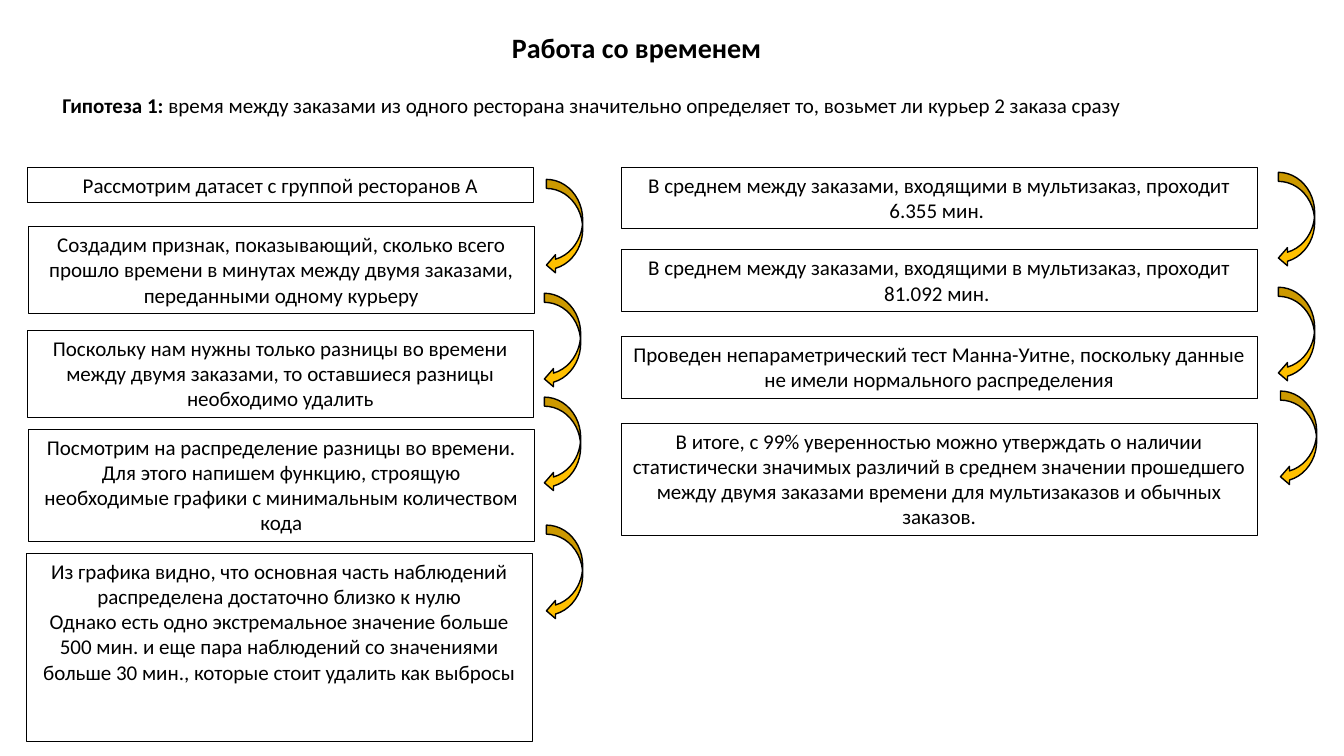
from pptx import Presentation
from pptx import util as u
from pptx.dml.color import RGBColor
from pptx.enum import shapes, text

COLOURS = {"ink": "000000", "arrow": "FFC000"}
INK = RGBColor.from_string(COLOURS["ink"])

deck = Presentation()
deck.slide_width, deck.slide_height = u.Inches(13.33), u.Inches(7.5)
page = deck.slides.add_slide(deck.slide_layouts[6])


def add_text(left, top, width, height, paragraphs, size=15, align=text.PP_ALIGN.LEFT):
    box = page.shapes.add_textbox(*map(u.Inches, (left, top, width, height)))
    frame = box.text_frame
    frame.word_wrap = True
    frame.auto_size = text.MSO_AUTO_SIZE.NONE
    for index, words in enumerate(paragraphs):
        para = frame.paragraphs[0] if index == 0 else frame.add_paragraph()
        para.text = words
        para.alignment = align
        para.font.name = "Calibri"
        para.font.size = u.Pt(size)
        para.font.color.rgb = INK
    return box


title = add_text(4.98, 0.25, 3.04, 0.44, ["Работа со временем"], size=20)
title.text_frame.word_wrap = False
title.text_frame.paragraphs[0].font.bold = True

hypothesis = add_text(0.52, 0.87, 12.52, 0.35, ["Гипотеза 1:"])
para = hypothesis.text_frame.paragraphs[0]
para.runs[0].font.bold = True
span = para.add_run()
span.text = " время между заказами из одного ресторана значительно определяет то, возьмет ли курьер 2 заказа сразу"

columns = [
    {
        "width": 5.02,
        "steps": [
            (0.27, 1.66, 0.35, ["Рассмотрим датасет с группой ресторанов А"]),
            (0.28, 2.25, 0.86, ["Создадим признак, показывающий, сколько всего прошло времени в минутах "
                                "между двумя заказами, переданными одному курьеру"]),
            (0.27, 3.28, 0.86, ["Поскольку нам нужны только разницы во времени между двумя заказами, "
                                "то оставшиеся разницы необходимо удалить"]),
            (0.28, 4.26, 1.11, ["Посмотрим на распределение разницы во времени. Для этого напишем функцию, "
                                "строящую необходимые графики с минимальным количеством кода"]),
            (0.26, 5.49, 1.87, ["Из графика видно, что основная часть наблюдений распределена достаточно "
                                "близко к нулю",
                                "Однако есть одно экстремальное значение больше 500 мин. и еще пара наблюдений "
                                "со значениями больше 30 мин., которые стоит удалить как выбросы"]),
        ],
        "arrows": [(5.42, 1.78), (5.4, 2.91), (5.4, 3.94), (5.42, 5.21)],
    },
    {
        "width": 6.31,
        "steps": [
            (6.16, 1.66, 0.61, ["В среднем между заказами, входящими в мультизаказ, проходит 6.355 мин. "]),
            (6.16, 2.48, 0.61, ["В среднем между заказами, входящими в мультизаказ, проходит 81.092 мин. "]),
            (6.16, 3.34, 0.61, ["Проведен непараметрический тест Манна-Уитне, поскольку данные не имели "
                                "нормального распределения"]),
            (6.16, 4.2, 1.11, ["В итоге, с 99% уверенностью можно утверждать о наличии статистически значимых "
                               "различий в среднем значении прошедшего между двумя заказами времени "
                               "для мультизаказов и обычных заказов."]),
        ],
        "arrows": [(12.68, 1.71), (12.68, 2.85), (12.7, 3.88)],
    },
]

for column in columns:
    for left, top, height, paragraphs in column["steps"]:
        step = add_text(left, top, column["width"], height, paragraphs, align=text.PP_ALIGN.CENTER)
        step.line.color.rgb = INK
        step.line.width = u.Pt(0.75)
    for left, top in column["arrows"]:
        arrow = page.shapes.add_shape(
            shapes.MSO_SHAPE.CURVED_LEFT_ARROW, *map(u.Inches, (left, top, 0.36, 0.94)))
        arrow.shadow.inherit = False
        arrow.fill.solid()
        arrow.fill.fore_color.rgb = RGBColor.from_string(COLOURS["arrow"])
        arrow.line.color.rgb = INK
        arrow.line.width = u.Pt(1)

deck.save("out.pptx")
